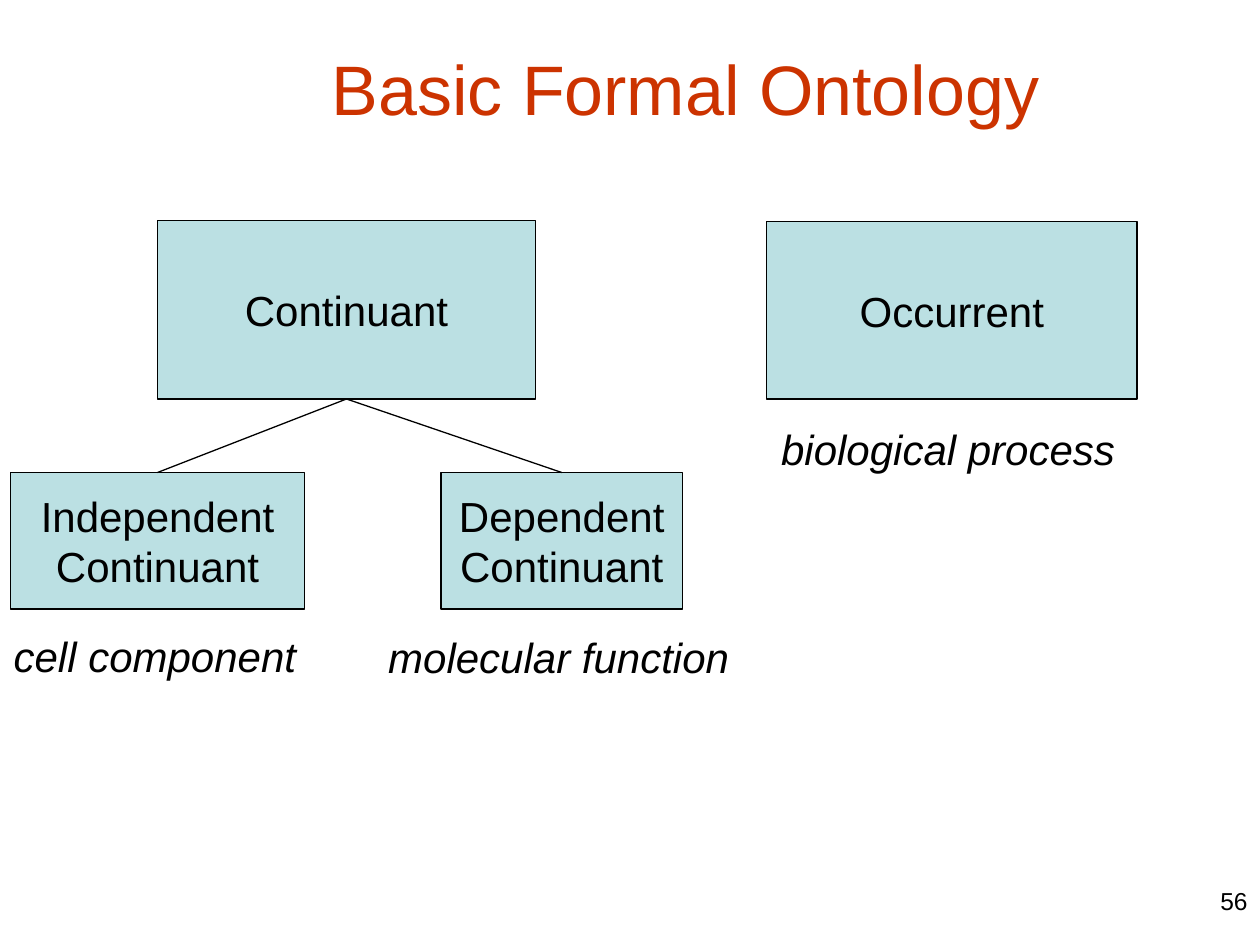
from pptx import Presentation
from pptx.dml.color import RGBColor
from pptx.enum.shapes import MSO_CONNECTOR, MSO_SHAPE
from pptx.enum.text import MSO_ANCHOR, PP_ALIGN
from pptx.oxml.ns import qn
from pptx.util import Inches, Pt
from lxml import etree

RECTANGLE = MSO_SHAPE.RECTANGLE
STRAIGHT = MSO_CONNECTOR.STRAIGHT
TOP, MIDDLE = MSO_ANCHOR.TOP, MSO_ANCHOR.MIDDLE
LEFT, CENTER, RIGHT = PP_ALIGN.LEFT, PP_ALIGN.CENTER, PP_ALIGN.RIGHT
TOP_SITE, BOTTOM_SITE = 0, 2

COLORS = {"ink": "000000", "class": "BBE0E3", "title": "CC3300"}
COLUMNS, ROWS = 120, 90


class OntologySlide:
    def __init__(self, deck):
        self.shapes = deck.slides.add_slide(deck.slide_layouts[6]).shapes
        self.column = deck.slide_width / COLUMNS
        self.row = deck.slide_height / ROWS

    def place(self, area):
        """Turn (column, row, columns wide, rows high) into slide lengths."""
        steps = (self.column, self.row) * 2
        return [round(count * step) for count, step in zip(area, steps)]

    def color(self, name):
        return RGBColor.from_string(COLORS[name])

    def set_text(self, shape, text, align, anchor=TOP, wrap=True, color="ink", **style):
        frame = shape.text_frame
        frame.word_wrap = wrap
        frame.vertical_anchor = anchor
        frame.text = text
        font_values = {"name": "Arial", "size": Pt(24), **style}
        for paragraph in frame.paragraphs:
            paragraph.alignment = align
            for attribute, value in font_values.items():
                setattr(paragraph.font, attribute, value)
            paragraph.font.color.rgb = self.color(color)

    def outline(self, line):
        line.color.rgb = self.color("ink")
        line.width = Pt(0.75)

    def class_box(self, text, area):
        box = self.shapes.add_shape(RECTANGLE, *self.place(area))
        box.shadow.inherit = False
        box.fill.solid()
        box.fill.fore_color.rgb = self.color("class")
        self.outline(box.line)
        self.set_text(box, text, CENTER, MIDDLE, wrap=False)
        return box

    def branch(self, parent, child):
        link = self.shapes.add_connector(STRAIGHT, 0, 0, 0, 0)
        link.begin_connect(parent, BOTTOM_SITE)
        link.end_connect(child, TOP_SITE)
        self.outline(link.line)
        etree.SubElement(link._element.spPr, qn("a:effectLst"))

    def label(self, text, area, align=CENTER, **style):
        self.set_text(self.shapes.add_textbox(*self.place(area)), text, align, **style)


def main():
    deck = Presentation()
    deck.slide_width, deck.slide_height = Inches(10), Inches(7.5)
    slide = OntologySlide(deck)

    continuant = slide.class_box("Continuant", (15, 21, 36, 17))
    slide.class_box("Occurrent", (73, 21.1, 35.3, 16.9))
    subclasses = [
        slide.class_box("Independent\nContinuant", (1, 45, 28, 13)),
        slide.class_box("Dependent\nContinuant", (42, 45, 23, 13)),
    ]
    for subclass in subclasses:
        slide.branch(continuant, subclass)

    examples = {
        "cell component": (-0.6, 59.5, 30.7, 6),
        "biological process": (72.8, 39.7, 35, 6),
        "molecular function": (35.7, 59.6, 35, 6),
    }
    for example, area in examples.items():
        slide.label(example, area, italic=True)

    slide.label("Basic Formal Ontology", (30.4, 3.7, 72.4, 9.3), LEFT,
                wrap=False, color="title", size=Pt(40))
    slide.label("56", (92, 83.8, 28, 6.2), RIGHT, size=Pt(14))
    deck.save("out.pptx")


if __name__ == "__main__":
    main()
